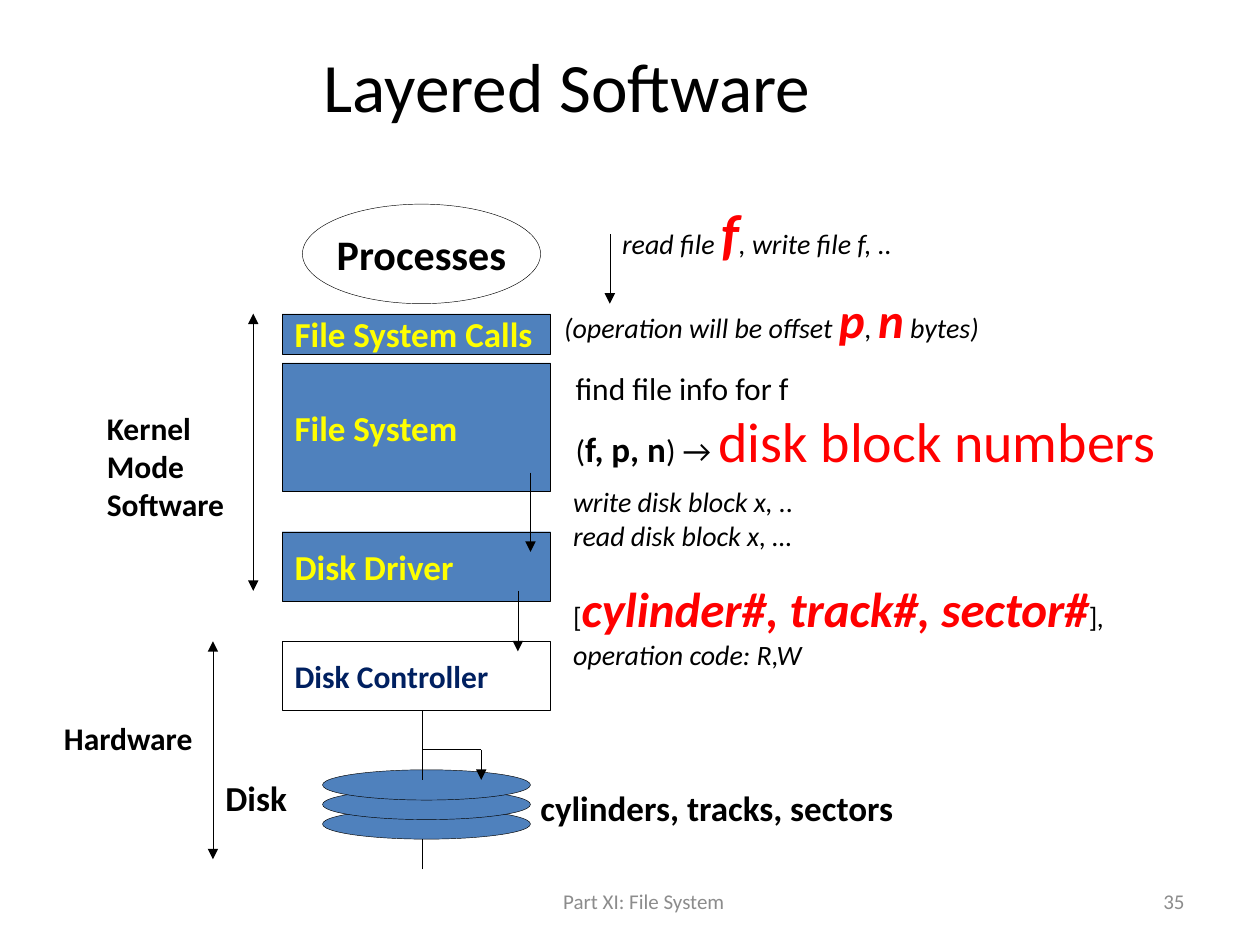
from lxml.etree import SubElement as Sub
from pptx import Presentation
from pptx.dml.color import RGBColor
from pptx.enum.shapes import MSO_CONNECTOR as Link, MSO_SHAPE as Kind
from pptx.enum.text import MSO_ANCHOR as Anchor, MSO_AUTO_SIZE as Fit, PP_ALIGN as Align
from pptx.oxml.ns import qn
from pptx.util import Inches, Pt

WIDE, HIGH = 10, 7.5
COLS, ROWS = 100, 75
BLACK, RED, YELLOW, NAVY = "000000", "FF0000", "FFFF00", "002060"
BLUE, GRAY = "4F81BD", "8C8C8C"


def tint(code):
    return RGBColor.from_string(code)


def grid(col, row):
    return Inches(col * WIDE / COLS), Inches(row * HIGH / ROWS)


def place(col, row, wide, high):
    return *grid(col, row), *grid(wide, high)


def write(frame, paras, align=Align.LEFT):
    for i, runs in enumerate(paras):
        para = frame.paragraphs[0] if i == 0 else frame.add_paragraph()
        para.alignment = align
        for text, size, color, style in runs:
            run = para.add_run()
            run.text = text
            font = run.font
            font.name, font.size = "Calibri", Pt(size)
            font.color.rgb = tint(color)
            font.bold, font.italic = "b" in style, "i" in style


def pen(line):
    line.color.rgb = tint(BLACK)
    line.width = Pt(0.25)


def note(slide, spot, paras):
    frame = slide.shapes.add_textbox(*place(*spot)).text_frame
    frame.word_wrap = False
    frame.auto_size = Fit.SHAPE_TO_FIT_TEXT
    write(frame, paras)


def foot(slide, spot, text, align):
    frame = slide.shapes.add_textbox(*place(*spot)).text_frame
    frame.word_wrap = True
    frame.vertical_anchor = Anchor.MIDDLE
    write(frame, [[(text, 12, GRAY, "")]], align)


def block(slide, kind, spot, fill=None, run=None, align=Align.LEFT):
    shape = slide.shapes.add_shape(kind, *place(*spot))
    shape.shadow.inherit = False
    if fill:
        shape.fill.solid()
        shape.fill.fore_color.rgb = tint(fill)
    else:
        shape.fill.background()
    pen(shape.line)
    if run:
        frame = shape.text_frame
        frame.word_wrap = False
        frame.vertical_anchor = Anchor.MIDDLE
        write(frame, [[run]], align)


def wire(slide, start, end, *tips):
    link = slide.shapes.add_connector(Link.STRAIGHT, *grid(*start), *grid(*end))
    pen(link.line)
    props = link._element.spPr
    for tip in tips:
        Sub(props.find(qn("a:ln")), qn("a:" + tip), type="triangle")
    Sub(props, qn("a:effectLst"))


def title(slide):
    head = slide.shapes.title
    head.left, head.top, head.width, head.height = place(0, 3.1, 90, 7.2)
    frame = head.text_frame
    frame.auto_size = Fit.NONE
    frame.vertical_anchor = Anchor.MIDDLE
    write(frame, [[("Layered Software", 39.6, BLACK, "")]], Align.CENTER)


def stack(slide):
    for text, row, high, size, color, fill in [
        ("Disk Controller", 50.9, 5.5, 18, NAVY, None),
        ("Disk Driver", 42.2, 5.5, 20, YELLOW, BLUE),
        ("File System", 28.8, 10.2, 20, YELLOW, BLUE),
        ("File System Calls", 24.9, 3.2, 20, YELLOW, BLUE),
    ]:
        block(slide, Kind.RECTANGLE, (22.4, row, 21.3, high), fill,
              (text, size, color, "b"))
    block(slide, Kind.OVAL, (24, 16.2, 18.9, 7.9), None,
          ("Processes", 24, BLACK, "b"), Align.CENTER)


def disk(slide):
    for i in range(3):
        block(slide, Kind.OVAL, (25.6, 64.2 - 1.55 * i, 16.5, 2.4), BLUE)
    axis, side, turn, top = 33.5, 38.2, 59.5, 61.9
    wire(slide, (axis, 56.4), (axis, turn))
    wire(slide, (axis, top), (axis, turn))
    wire(slide, (axis, 69), (axis, 66.6))
    wire(slide, (axis, turn), (side, turn))
    wire(slide, (side, turn), (side, top), "tailEnd")


def flows(slide):
    for col, row, end in [(48.4, 18.6, 24.1), (42.1, 37.5, 43.8), (41.1, 46.9, 51.7)]:
        wire(slide, (col, row), (col, end), "tailEnd")
    for col, row, end in [(20.1, 24.9, 46.9), (16.9, 50.9, 68.2)]:
        wire(slide, (col, row), (col, end), "headEnd", "tailEnd")


def labels(slide):
    for spot, size, lines in [
        ((16.9, 61.1, 6.9, 4.4), 20, ["Disk"]),
        ((41.9, 61.9, 30.2, 4.4), 20, ["cylinders, tracks, sectors"]),
        ((7.5, 32, 11.4, 10.1), 18, ["Kernel", "Mode", "Software"]),
        ((4.1, 56.6, 12.3, 4.1), 18, ["Hardware"]),
    ]:
        note(slide, spot, [[(line, size, BLACK, "b")] for line in lines])


def calls(slide):
    def small(text, style="i"):
        return text, 16, BLACK, style

    def big(text, size=28, style="bi"):
        return text, size, RED, style

    note(slide, (48.4, 15.3, 23.7, 6.4),
         [[small("read file "), big("f", 32), small(", write file f, ..")]])
    note(slide, (43.8, 22.5, 35.4, 5.7),
         [[small("(operation will be offset "), big("p"), small(", "),
           big("n"), small(" bytes)")]])
    note(slide, (44.7, 28.8, 48.7, 9.4),
         [[("find file info for f", 18, BLACK, "")],
          [("(", 18, BLACK, ""), ("f, p, n", 20, BLACK, "b"),
           (") → ", 18, BLACK, ""), big("disk block numbers", 32, "")]])
    note(slide, (44.5, 38, 22, 6.4),
         [[small("write disk block x, ..")], [small("read disk block x, …")]])
    note(slide, (44.5, 45.4, 45.2, 8.4),
         [[small("[", ""), big("cylinder#, track#, sector#"),
           small("]", ""), small(",")],
          [small("operation code: R,W")]])


def main():
    deck = Presentation()
    deck.slide_width, deck.slide_height = Inches(WIDE), Inches(HIGH)
    slide = deck.slides.add_slide(deck.slide_layouts[5])
    title(slide)
    stack(slide)
    disk(slide)
    flows(slide)
    labels(slide)
    calls(slide)
    foot(slide, (34.2, 69.5, 33.8, 4), "Part XI: File System", Align.CENTER)
    foot(slide, (71.7, 69.5, 23.3, 4), "35", Align.RIGHT)
    deck.save("out.pptx")


if __name__ == "__main__":
    main()
